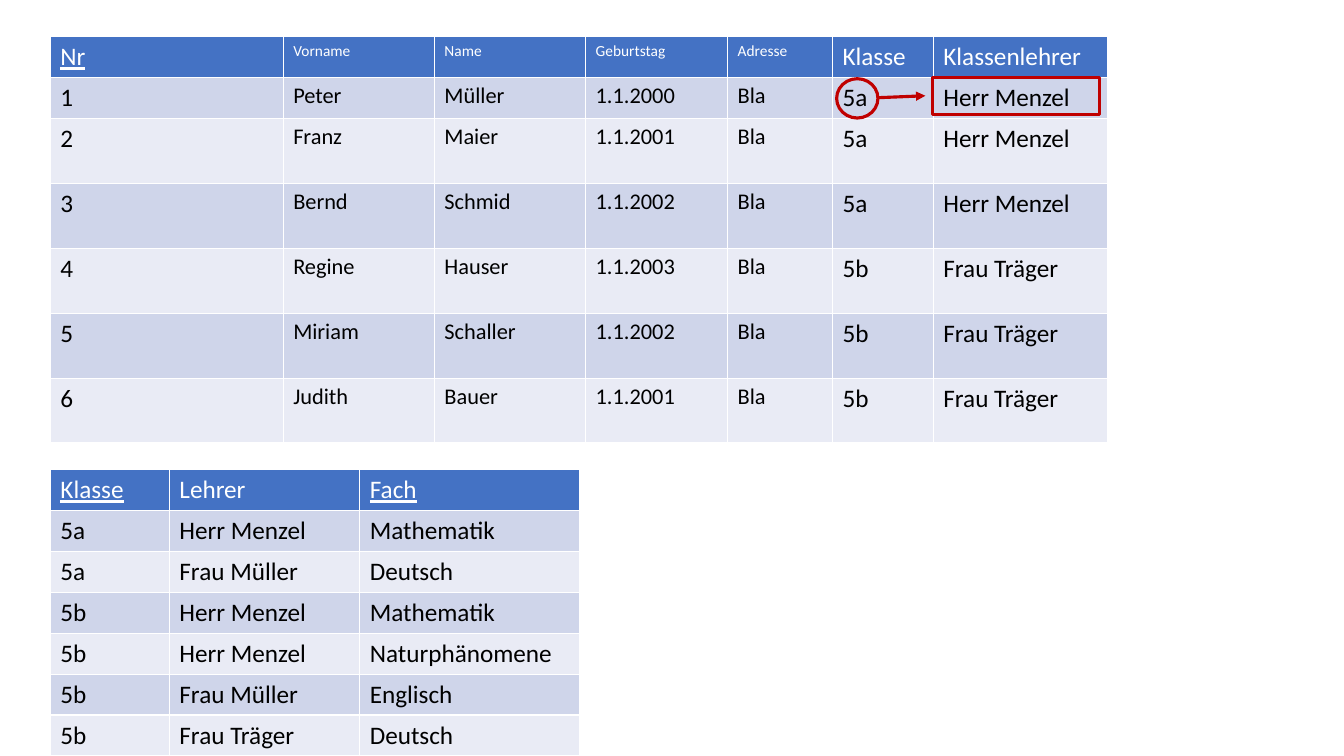
from dataclasses import dataclass

from lxml.etree import SubElement as SubEl
from pptx import Presentation as Deck
from pptx.dml.color import RGBColor as Rgb
from pptx.enum.shapes import MSO_CONNECTOR as Link, MSO_SHAPE as Form
from pptx.oxml.ns import qn
from pptx.shapes.shapetree import SlideShapes as Shapes
from pptx.util import Pt


@dataclass(frozen=True)
class Theme:
    font: str = "Calibri"
    head: Rgb = Rgb.from_string("4472C4")
    bands: tuple[Rgb, Rgb] = (Rgb.from_string("CFD5EA"), Rgb.from_string("E9EBF5"))
    white: Rgb = Rgb.from_string("FFFFFF")
    black: Rgb = Rgb.from_string("000000")
    red: Rgb = Rgb.from_string("C00000")
    large: float = 18
    body: float = 16
    small: float = 11
    line: float = 2.25


@dataclass(frozen=True)
class Grid:
    left: float
    top: float
    cols: list[float]
    rows: list[float]
    data: list[tuple[str, ...]]
    keys: set[int]    # columns with an underlined heading
    minor: set[int]   # columns set in smaller type


@dataclass(frozen=True)
class Mark:
    form: Form
    left: float
    top: float
    width: float
    height: float


THEME = Theme()
ROW, TALL = 29.2, 46.4

# Pupils above, lessons below
GRIDS = [
    Grid(36, 26.2, [166.3, 108, 108, 101.5, 74.9, 72, 124.6],
         [ROW] * 2 + [TALL] * 5, [
        ("Nr", "Vorname", "Name", "Geburtstag", "Adresse", "Klasse", "Klassenlehrer"),
        ("1", "Peter", "Müller", "1.1.2000", "Bla", "5a", "Herr Menzel"),
        ("2", "Franz", "Maier", "1.1.2001", "Bla", "5a", "Herr Menzel"),
        ("3", "Bernd", "Schmid", "1.1.2002", "Bla", "5a", "Herr Menzel"),
        ("4", "Regine", "Hauser", "1.1.2003", "Bla", "5b", "Frau Träger"),
        ("5", "Miriam", "Schaller", "1.1.2002", "Bla", "5b", "Frau Träger"),
        ("6", "Judith", "Bauer", "1.1.2001", "Bla", "5b", "Frau Träger"),
    ], {0}, {1, 2, 3, 4}),
    Grid(36, 335.6, [85, 136, 157], [ROW] * 7, [
        ("Klasse", "Lehrer", "Fach"),
        ("5a", "Herr Menzel", "Mathematik"),
        ("5a", "Frau Müller", "Deutsch"),
        ("5b", "Herr Menzel", "Mathematik"),
        ("5b", "Herr Menzel", "Naturphänomene"),
        ("5b", "Frau Müller", "Englisch"),
        ("5b", "Frau Träger", "Deutsch"),
    ], {0, 2}, set()),
]

# Class and the teacher it determines
MARKS = [
    Mark(Form.OVAL, 597.6, 56.2, 29.5, 28.1),
    Mark(Form.RECTANGLE, 666, 55.4, 119.5, 26.6),
]
ARROW = (627.1, 69.8, 661, 68.4)


def draw_grid(shapes: Shapes, grid: Grid) -> None:
    frame = shapes.add_table(len(grid.rows), len(grid.cols), Pt(grid.left),
                             Pt(grid.top), Pt(sum(grid.cols)), Pt(sum(grid.rows)))
    table = frame.table
    for col, width in zip(table.columns, grid.cols):
        col.width = Pt(width)
    for row, height in zip(table.rows, grid.rows):
        row.height = Pt(height)
    for r, line in enumerate(grid.data):
        top = r == 0
        for c, text in enumerate(line):
            cell = table.cell(r, c)
            cell.fill.solid()
            cell.fill.fore_color.rgb = THEME.head if top else THEME.bands[(r - 1) % 2]
            run = cell.text_frame.paragraphs[0].add_run()
            run.text = text
            minor = THEME.small if top else THEME.body
            style = {
                "name": THEME.font,
                "size": Pt(minor if c in grid.minor else THEME.large),
                "bold": False,
                "underline": top and c in grid.keys,
            }
            for key, value in style.items():
                setattr(run.font, key, value)
            run.font.color.rgb = THEME.white if top else THEME.black


def draw_mark(shapes: Shapes, mark: Mark) -> None:
    shape = shapes.add_shape(mark.form, Pt(mark.left), Pt(mark.top),
                             Pt(mark.width), Pt(mark.height))
    shape.shadow.inherit = False
    shape.fill.background()
    shape.line.color.rgb = THEME.red
    shape.line.width = Pt(THEME.line)


def draw_arrow(shapes: Shapes, ends: tuple[float, ...]) -> None:
    arrow = shapes.add_connector(Link.STRAIGHT, *map(Pt, ends))
    arrow.line.color.rgb = THEME.red
    arrow.line.width = Pt(THEME.line)
    props = arrow.element.spPr
    SubEl(props.find(qn("a:ln")), qn("a:tailEnd"), type="triangle")
    SubEl(props, qn("a:effectLst"))


def main() -> None:
    deck = Deck()
    deck.slide_width, deck.slide_height = Pt(960), Pt(540)
    shapes = deck.slides.add_slide(deck.slide_layouts[6]).shapes
    for grid in GRIDS:
        draw_grid(shapes, grid)
    # Red marks, with the arrow between them
    oval, box = MARKS
    draw_mark(shapes, oval)
    draw_arrow(shapes, ARROW)
    draw_mark(shapes, box)
    deck.save("out.pptx")


if __name__ == "__main__":
    main()
